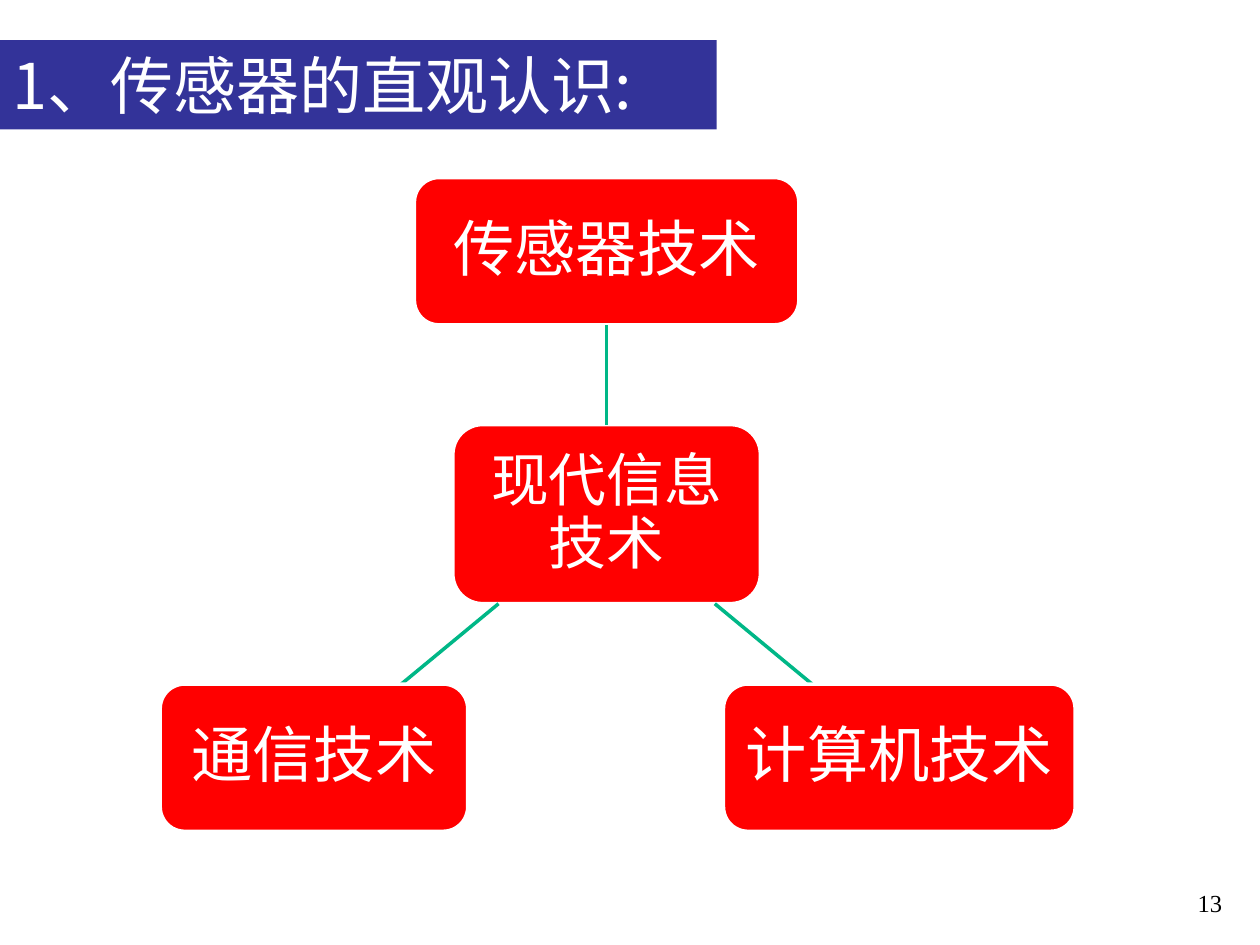
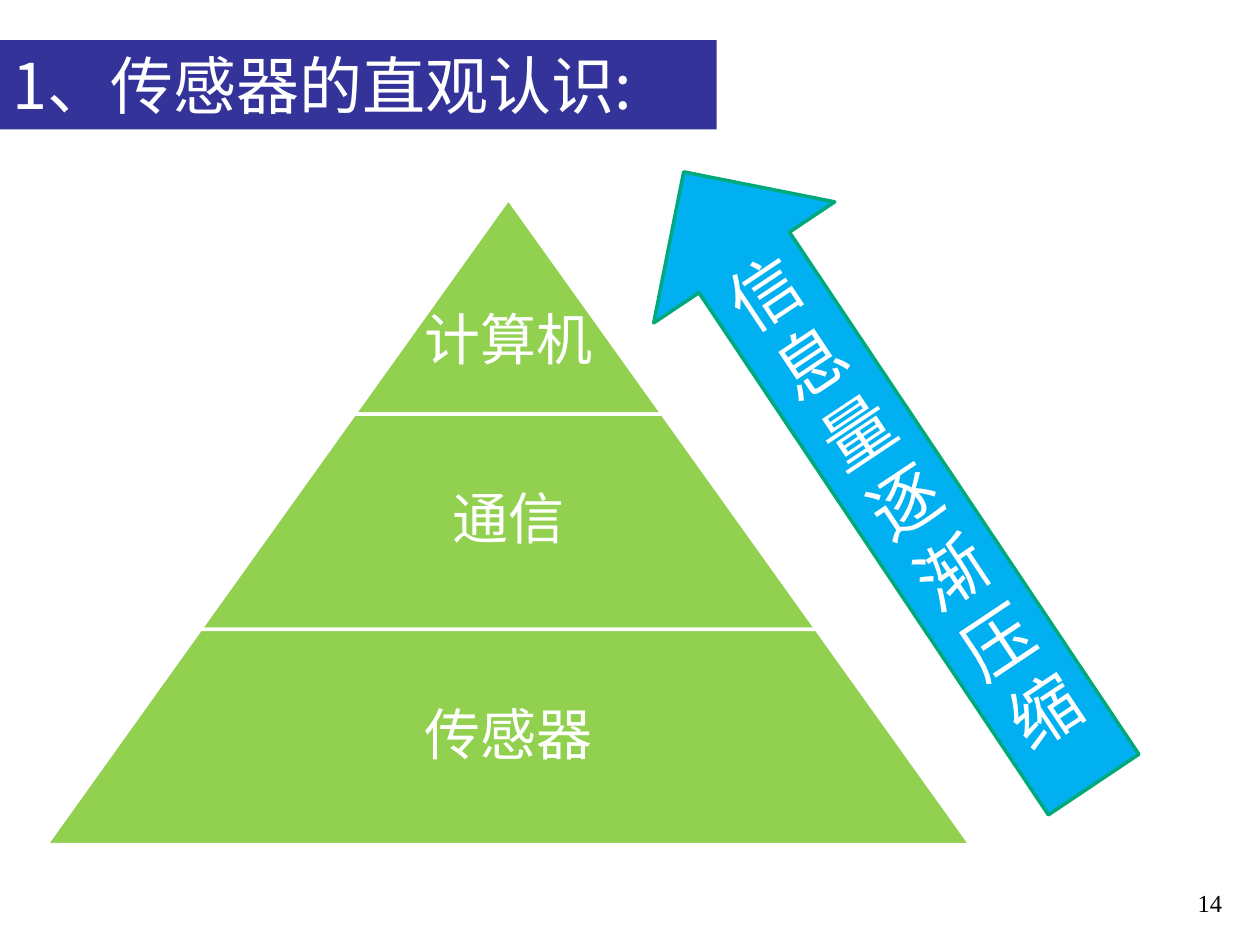
from lxml import etree
from pptx import Presentation, util as u
from pptx.dml.color import RGBColor
from pptx.enum import shapes, text
from pptx.oxml import ns

COLOURS = {"band": "333399", "node": "FF0000", "link": "00B787", "tier": "92D050",
           "arrow": "00B0F0", "arrow_edge": "00A97C", "white": "FFFFFF", "black": "000000"}
BODY_FONT, CHINESE_FONT = "Times New Roman", "Noto Sans CJK SC"
SHAPE, ALIGN, ANCHOR = shapes.MSO_SHAPE, text.PP_ALIGN, text.MSO_ANCHOR
TITLE = "1、传感器的直观认识:"
EDGE = 2  # points


def colour(name):
    return RGBColor.from_string(COLOURS[name])


class Deck:
    def __init__(self):
        self.presentation = Presentation()
        self.presentation.slide_width = u.Cm(25.4)
        self.presentation.slide_height = u.Cm(19.05)
        self.slide = None

    def add_slide(self, number):
        """Start a slide with the shared title band and page number."""
        self.slide = self.presentation.slides.add_slide(self.presentation.slide_layouts[6])
        band = self.shape(SHAPE.RECTANGLE, 0, 0.81, 14.45, 1.8, "band")
        self.label(band, TITLE, 36, align=ALIGN.LEFT, font=CHINESE_FONT)
        page = self.slide.shapes.add_textbox(u.Cm(19.6), u.Cm(17.35), u.Cm(5.29), u.Cm(1.27))
        self.label(page, str(number), 14, "black", ALIGN.RIGHT, anchor=ANCHOR.BOTTOM)

    def shape(self, kind, left, top, width, height, fill, edge=None):
        shape = self.slide.shapes.add_shape(kind, u.Cm(left), u.Cm(top), u.Cm(width), u.Cm(height))
        shape.shadow.inherit = False
        shape.fill.solid()
        shape.fill.fore_color.rgb = colour(fill)
        if edge:
            shape.line.color.rgb = colour(edge)
            shape.line.width = u.Pt(EDGE)
        else:
            shape.line.fill.background()
        return shape

    def label(self, shape, words, size, ink="white", align=ALIGN.CENTER, font=BODY_FONT,
              anchor=ANCHOR.MIDDLE, spacing=None, wrap=True):
        frame = shape.text_frame
        frame.word_wrap = wrap
        frame.vertical_anchor = anchor
        paragraph = frame.paragraphs[0]
        paragraph.text = words
        paragraph.alignment = align
        paragraph.line_spacing = spacing
        paragraph.font.name = font
        paragraph.font.size = u.Pt(size)
        paragraph.font.color.rgb = colour(ink)
        properties = paragraph._p.pPr.find(ns.qn("a:defRPr"))
        etree.SubElement(properties, ns.qn("a:ea"), typeface=CHINESE_FONT)

    def node(self, words, centre, top, width, height=2.97, size=35):
        node = self.shape(SHAPE.ROUNDED_RECTANGLE, centre - width / 2, top, width, height,
                          "node", "white")
        self.label(node, words, size, spacing=0.9)
        return node

    def link(self, x1, y1, x2, y2):
        link = self.slide.shapes.add_connector(shapes.MSO_CONNECTOR.STRAIGHT,
                                               u.Cm(x1), u.Cm(y1), u.Cm(x2), u.Cm(y2))
        link.line.color.rgb = colour("link")
        link.line.width = u.Pt(EDGE)
        etree.SubElement(link._element.spPr, ns.qn("a:effectLst"))
        return link

    def tier(self, words, level, centre, apex, step, height):
        """Add one pyramid layer; level 1 is the tip."""
        width = step * level
        tier = self.shape(SHAPE.TRAPEZOID, centre - width / 2, apex + (level - 1) * height,
                          width, height, "tier", "white")
        tier.adjustments[0] = step / 2 / height
        # A trapezoid's text area starts lower the steeper it tapers; balance it below the tip.
        tier.text_frame.margin_top = 0
        tier.text_frame.margin_bottom = u.Cm(height / 3 / level if level > 1 else 0)
        self.label(tier, words, 32, spacing=0.9, wrap=False)


def technology_slide(deck):
    deck.add_slide(13)
    centre, hub_top, hub_bottom, lower_top = 12.23, 8.56, 12.17, 13.79
    hub = deck.node("现代信息技术", centre, hub_top, 6.2, hub_bottom - hub_top, 33)
    sensor = deck.node("传感器技术", centre, 3.58, 7.75)
    upright = deck.link(centre, hub_top, centre, 6.55)
    upright.begin_connect(hub, 0)
    upright.end_connect(sensor, 2)
    for words, side, width in (("计算机技术", 1, 7.09), ("通信技术", -1, 6.2)):
        deck.link(centre + side * 2.18, hub_bottom, centre + side * 4.14, lower_top)
        deck.node(words, centre + side * 5.9, lower_top, width)


def pyramid_slide(deck):
    deck.add_slide(14)
    for level, words in enumerate(("计算机", "通信", "传感器"), start=1):
        deck.tier(words, level, centre=10.25, apex=4.01, step=6.21, height=4.34)
    arrow = deck.shape(SHAPE.UP_ARROW, 15.72, 2.21, 4.39, 14.86, "arrow", "arrow_edge")
    arrow.rotation = 326.2
    deck.label(arrow, "信息量逐渐压缩", 40)


def main():
    deck = Deck()
    technology_slide(deck)
    pyramid_slide(deck)
    deck.presentation.save("out.pptx")


if __name__ == "__main__":
    main()
